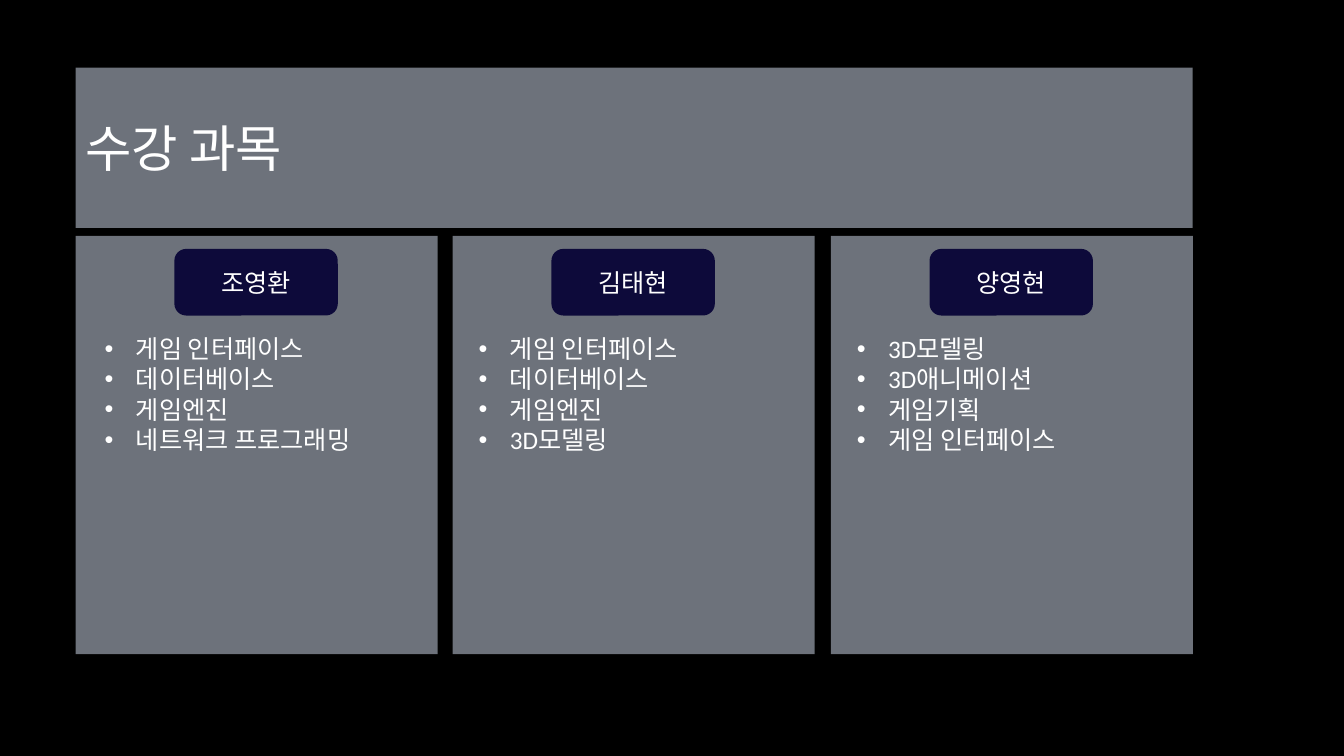
from lxml import etree
from pptx import Presentation
from pptx.dml.color import RGBColor
from pptx.enum.shapes import MSO_SHAPE as SHAPE
from pptx.enum.text import MSO_ANCHOR as ANCHOR, MSO_AUTO_SIZE as AUTO, PP_ALIGN as ALIGN
from pptx.oxml.ns import qn
from pptx.util import Pt

PX = 9144  # EMU per px, 100 px to the inch


def px(n):
    return n * PX


def rgb(value):
    return RGBColor.from_string(value)


class Deck:
    FONT, TEXT, BACK = "Calibri", "FFFFFF", "000000"
    PANEL, BADGE = "DAE5F6", "0D0A3A"

    def __init__(self, prs):
        self.slide = prs.slides.add_slide(prs.slide_layouts[6])
        fill = self.slide.background.fill
        fill.solid()
        fill.fore_color.rgb = rgb(self.BACK)

    def set_text(self, sp, text, size, align):
        tf = sp.text_frame
        tf.text = text
        for p in tf.paragraphs:
            p.alignment = align
            for r in p.runs:
                r.font.name = self.FONT
                r.font.size = Pt(size)
                r.font.color.rgb = rgb(self.TEXT)
        return tf

    def shape(self, kind, box, color):
        sp = self.slide.shapes.add_shape(kind, *map(px, box))
        sp.shadow.inherit = False
        sp.fill.solid()
        sp.fill.fore_color.rgb = rgb(color)
        return sp

    def panel(self, *box):
        """Half-transparent rectangle without an outline."""
        sp = self.shape(SHAPE.RECTANGLE, box, self.PANEL)
        sp.line.fill.background()
        color = sp.element.spPr.find(f"{qn('a:solidFill')}/{qn('a:srgbClr')}")
        etree.SubElement(color, qn("a:alpha")).set("val", "50000")
        return sp

    def title(self, text, *box):
        tf = self.set_text(self.panel(*box), text, 36, ALIGN.LEFT)
        tf.vertical_anchor = ANCHOR.MIDDLE

    def badge(self, text, *box):
        sp = self.shape(SHAPE.ROUNDED_RECTANGLE, box, self.BADGE)
        sp.line.color.rgb = rgb(self.BADGE)
        sp.line.width = Pt(1.5)
        tf = self.set_text(sp, text, 18, ALIGN.CENTER)
        tf.vertical_anchor = ANCHOR.MIDDLE

    def bullets(self, items, *box):
        sp = self.slide.shapes.add_textbox(*map(px, box))
        tf = self.set_text(sp, "\n".join(items), 18, ALIGN.LEFT)
        tf.word_wrap = False
        tf.auto_size = AUTO.SHAPE_TO_FIT_TEXT
        for p in tf.paragraphs:
            pPr = p._p.get_or_add_pPr()
            pPr.set("marL", str(px(31)))
            pPr.set("indent", str(-px(31)))
            etree.SubElement(pPr, qn("a:buFont")).set("typeface", "Arial")
            etree.SubElement(pPr, qn("a:buChar")).set("char", "•")


# name, list offset, list width, list height, courses
STUDENTS = [
    ("조영환", 19, 285, 162, ["게임 인터페이스", "데이터베이스", "게임엔진", "네트워크 프로그래밍"]),
    ("김태현", 16, 234, 162, ["게임 인터페이스", "데이터베이스", "게임엔진", "3D모델링"]),
    ("양영현", 16, 240, 131, ["3D모델링", "3D애니메이션", "게임기획", "게임 인터페이스"]),
]
LEFT, WIDTH, COLUMN = 75, 1108, 359


def main():
    prs = Presentation()
    prs.slide_width, prs.slide_height = px(1333), px(750)
    deck = Deck(prs)
    deck.title("수강 과목", LEFT, 67, WIDTH, 159)
    for i, (name, offset, width, height, courses) in enumerate(STUDENTS):
        x = LEFT + i * (WIDTH - COLUMN) // 2
        deck.panel(x, 234, COLUMN, 415)
        deck.badge(name, x + 99, 248, 160, 64)
        deck.bullets(courses, x + offset, 326, width, height)
    prs.save("out.pptx")


if __name__ == "__main__":
    main()
